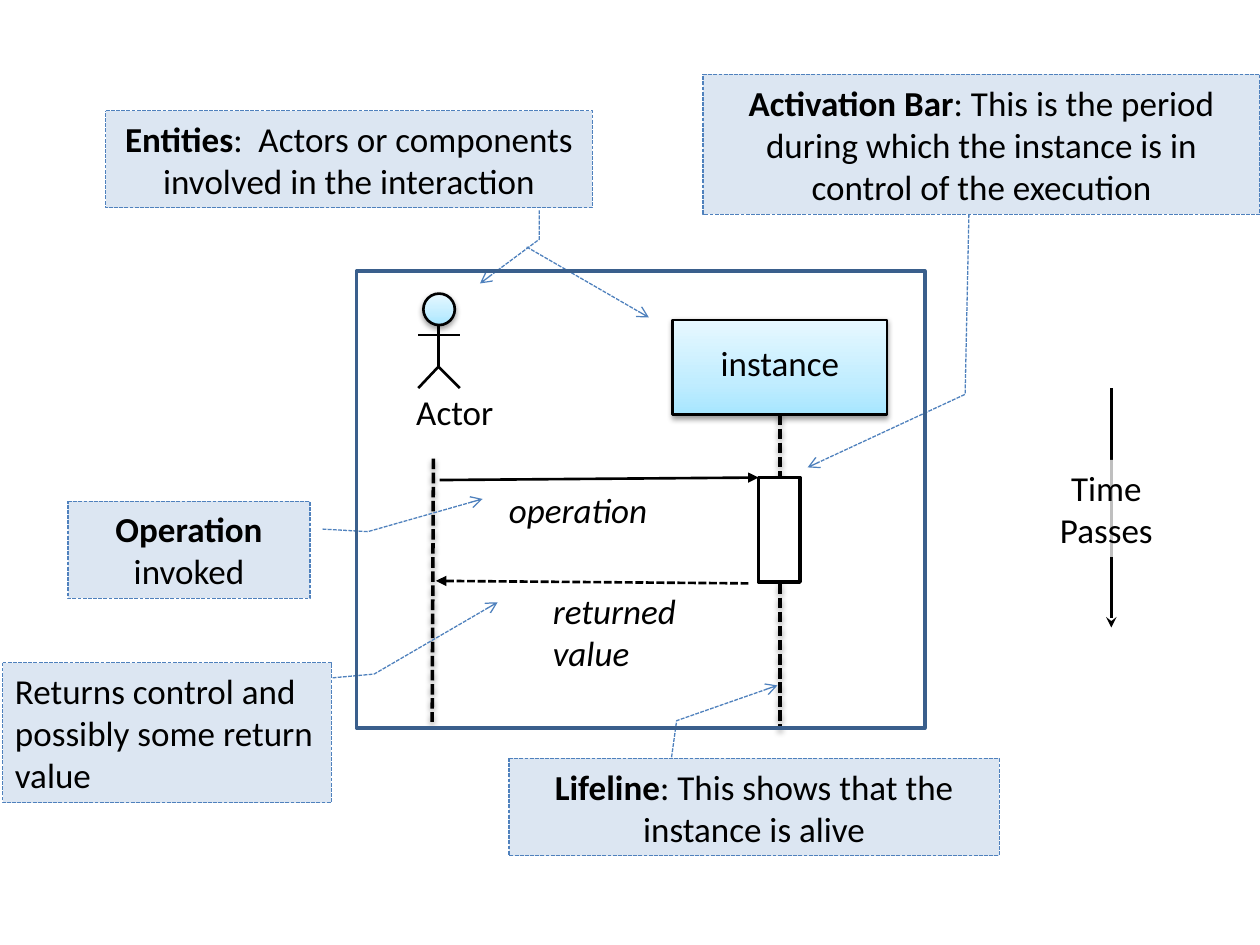
from copy import deepcopy
from dataclasses import dataclass
from typing import NamedTuple, Optional

from lxml.etree import SubElement
from pptx import Presentation
from pptx.dml.color import RGBColor
from pptx.enum.dml import MSO_LINE
from pptx.enum.shapes import MSO_CONNECTOR, MSO_SHAPE
from pptx.enum.text import MSO_ANCHOR, MSO_AUTO_SIZE, PP_ALIGN
from pptx.oxml.ns import qn
from pptx.util import Emu, Pt

EMU_PER_PX = 9144

BLACK = RGBColor(0x00, 0x00, 0x00)
WHITE = RGBColor(0xFF, 0xFF, 0xFF)
PALE_BLUE = RGBColor(0xDC, 0xE6, 0xF2)
BLUE = RGBColor(0x4F, 0x81, 0xBD)
FRAME_BLUE = RGBColor(0x3A, 0x5F, 0x8C)
SKY_STOPS = (
    (0, RGBColor(0xA7, 0xE6, 0xFF)),
    (0.35, RGBColor(0xC1, 0xED, 0xFF)),
    (1, RGBColor(0xE7, 0xF8, 0xFF)),
)

RECTANGLE = MSO_SHAPE.RECTANGLE
OVAL = MSO_SHAPE.OVAL
CALLOUT = MSO_SHAPE.LINE_CALLOUT_2
STRAIGHT = MSO_CONNECTOR.STRAIGHT
SHORT_DASH = MSO_LINE.SQUARE_DOT
LEFT, CENTER = PP_ALIGN.LEFT, PP_ALIGN.CENTER
MIDDLE, TOP = MSO_ANCHOR.MIDDLE, MSO_ANCHOR.TOP
FIT_TEXT = MSO_AUTO_SIZE.SHAPE_TO_FIT_TEXT
BOTTOM_SIDE = 2


class Point(NamedTuple):
    x: int
    y: int


class Area(NamedTuple):
    left: int
    top: int
    width: int
    height: int


@dataclass(frozen=True)
class Pen:
    color: RGBColor
    width: float
    dashed: bool = False
    tail: str = ""


@dataclass(frozen=True)
class Callout:
    area: Area
    pointer: tuple[Point, Point, Point]
    lead: str
    rest: str
    align: PP_ALIGN = CENTER


@dataclass(frozen=True)
class Label:
    area: Area
    text: str
    align: PP_ALIGN = LEFT
    italic: bool = False


SOLID = Pen(BLACK, 1.5)
HEAVY = Pen(BLACK, 2)
LIFELINE = Pen(BLACK, 2, dashed=True)
CALL = Pen(BLACK, 1.5, tail="triangle")
REPLY = Pen(BLACK, 1.5, dashed=True, tail="triangle")
TIME = Pen(BLACK, 2, tail="stealth")
POINTER = Pen(BLUE, 0.75, dashed=True, tail="arrow")

CALLOUTS = (
    Callout(Area(404, 602, 389, 77), (Point(533, 601), Point(537, 572), Point(617, 544)),
            "Lifeline", ": This shows that the instance is alive"),
    Callout(Area(54, 398, 192, 77), (Point(256, 420), Point(292, 422), Point(383, 396)),
            "Operation", " invoked"),
    Callout(Area(2, 526, 261, 111), (Point(264, 538), Point(297, 535), Point(395, 478)),
            "", "Returns control and possibly some return value", LEFT),
    Callout(Area(558, 59, 442, 111), (Point(769, 170), Point(766, 313), Point(641, 371)),
            "Activation Bar",
            ": This is the period during which the instance is in control of the execution"),
    Callout(Area(84, 88, 386, 77), (Point(428, 167), Point(428, 190), Point(381, 225)),
            "Entities", ":  Actors or components involved in the interaction"),
)
LABELS = (
    Label(Area(394, 383, 200, 44), "operation", italic=True),
    Label(Area(429, 463, 164, 77), "returned value", italic=True),
    Label(Area(302, 305, 118, 44), "Actor", CENTER),
)
ACTOR_LIMBS = (
    (Point(348, 249), Point(348, 291)),
    (Point(332, 266), Point(365, 266)),
    (Point(348, 291), Point(332, 308)),
    (Point(348, 291), Point(365, 308)),
)


def px(length: int) -> Emu:
    return Emu(length * EMU_PER_PX)


def apply_pen(shape, pen: Pen) -> None:
    shape.line.color.rgb = pen.color
    shape.line.width = Pt(pen.width)
    if pen.dashed:
        shape.line.dash_style = SHORT_DASH
    if pen.tail:
        SubElement(shape.element.spPr.find(qn("a:ln")), qn("a:tailEnd"), type=pen.tail)


def add_shadow(shape) -> None:
    effects = shape.element.spPr.find(qn("a:effectLst"))
    shadow = SubElement(effects, qn("a:outerShdw"), blurRad="40000", dist="20000",
                        dir="5400000", rotWithShape="0")
    color = SubElement(shadow, qn("a:srgbClr"), val=str(BLACK))
    SubElement(color, qn("a:alpha"), val="38000")


def draw_line(shapes, start: Point, end: Point, pen: Pen):
    line = shapes.add_connector(STRAIGHT, px(start.x), px(start.y), px(end.x), px(end.y))
    apply_pen(line, pen)
    SubElement(line.element.spPr, qn("a:effectLst"))
    return line


def draw_shape(shapes, kind: MSO_SHAPE, area: Area, pen: Optional[Pen],
               fill: Optional[RGBColor] = None):
    shape = shapes.add_shape(kind, *map(px, area))
    shape.shadow.inherit = False
    if fill is None:
        shape.fill.background()
    else:
        shape.fill.solid()
        shape.fill.fore_color.rgb = fill
    if pen is None:
        shape.line.fill.background()
    else:
        apply_pen(shape, pen)
    return shape


def draw_sky_shape(shapes, kind: MSO_SHAPE, area: Area):
    shape = draw_shape(shapes, kind, area, SOLID)
    shape.fill.gradient()
    shape.fill.gradient_angle = 90
    stop_list = shape.element.spPr.find(".//" + qn("a:gsLst"))
    stop_list.insert(1, deepcopy(stop_list[0]))
    for stop, (position, color) in zip(shape.fill.gradient_stops, SKY_STOPS):
        stop.position = position
        stop.color.rgb = color
    add_shadow(shape)
    return shape


def write_text(shape, text: str, align: PP_ALIGN, anchor: MSO_ANCHOR = TOP,
               italic: bool = False, lead: str = "") -> None:
    frame = shape.text_frame
    frame.word_wrap = True
    frame.auto_size = FIT_TEXT
    frame.vertical_anchor = anchor
    frame.text = lead or text
    para = frame.paragraphs[0]
    para.alignment = align
    if lead:
        para.runs[0].font.bold = True
        para.add_run().text = text
    for span in para.runs:
        span.font.name = "Calibri"
        span.font.size = Pt(20)
        span.font.color.rgb = BLACK
        span.font.italic = italic


def draw_callout(shapes, callout: Callout) -> None:
    area = callout.area
    box = draw_shape(shapes, CALLOUT, area, POINTER, PALE_BLUE)
    for index, point in enumerate(callout.pointer):
        box.adjustments[2 * index] = (point.y - area.top) / area.height
        box.adjustments[2 * index + 1] = (point.x - area.left) / area.width
    write_text(box, callout.rest, callout.align, MIDDLE, lead=callout.lead)


def draw_label(shapes, label: Label) -> None:
    box = shapes.add_textbox(*map(px, label.area))
    write_text(box, label.text, label.align, italic=label.italic)


def main() -> None:
    deck = Presentation()
    deck.slide_width, deck.slide_height = px(1000), px(750)
    shapes = deck.slides.add_slide(deck.slide_layouts[6]).shapes

    actor_lifeline = draw_line(shapes, Point(344, 364), Point(343, 573), LIFELINE)
    instance_lifeline = draw_line(shapes, Point(619, 329), Point(619, 579), LIFELINE)
    for lifeline in (actor_lifeline, instance_lifeline):
        add_shadow(lifeline)
    draw_line(shapes, Point(349, 381), Point(602, 379), CALL)
    draw_line(shapes, Point(594, 463), Point(346, 461), REPLY)
    draw_shape(shapes, RECTANGLE, Area(602, 379, 33, 83), HEAVY, WHITE)

    draw_line(shapes, Point(882, 308), Point(882, 498), TIME)
    time_box = draw_shape(shapes, RECTANGLE, Area(807, 365, 142, 77), None, WHITE)
    time_color = time_box.element.spPr.find(qn("a:solidFill")).find(qn("a:srgbClr"))
    SubElement(time_color, qn("a:alpha"), val="75000")
    write_text(time_box, "Time Passes", CENTER)

    instance = draw_sky_shape(shapes, RECTANGLE, Area(534, 254, 170, 75))
    write_text(instance, "instance", CENTER)
    instance.text_frame.margin_top = instance.text_frame.margin_bottom = px(20)
    instance_lifeline.begin_connect(instance, BOTTOM_SIDE)

    actor = shapes.add_group_shape().shapes
    for start, end in ACTOR_LIMBS:
        draw_line(actor, start, end, SOLID)
    draw_sky_shape(actor, OVAL, Area(336, 233, 25, 25))

    for callout in CALLOUTS:
        draw_callout(shapes, callout)
    for label in LABELS:
        draw_label(shapes, label)
    draw_line(shapes, Point(418, 196), Point(515, 252), POINTER)
    draw_shape(shapes, RECTANGLE, Area(283, 215, 451, 363), Pen(FRAME_BLUE, 2))

    deck.save("out.pptx")


if __name__ == "__main__":
    main()
